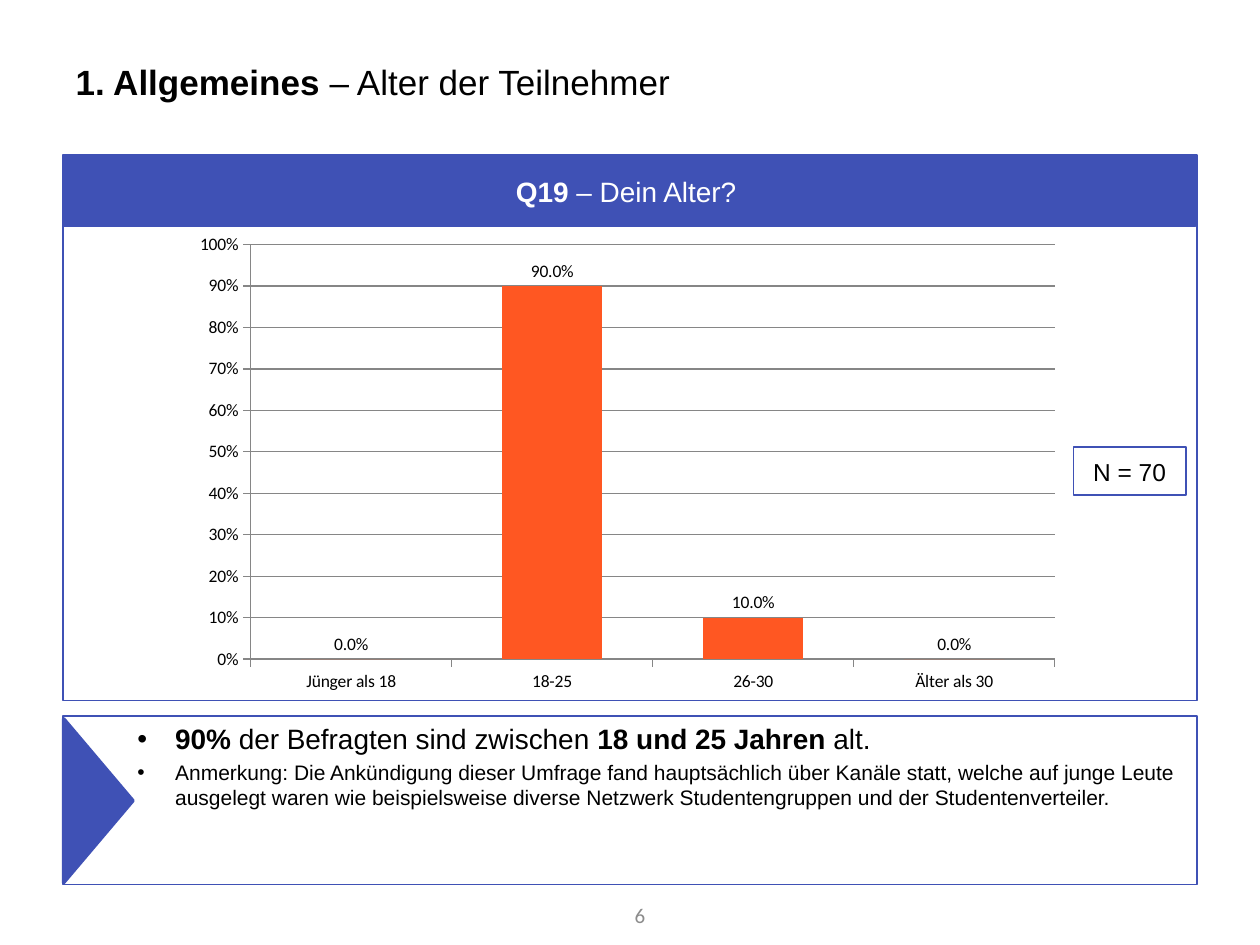
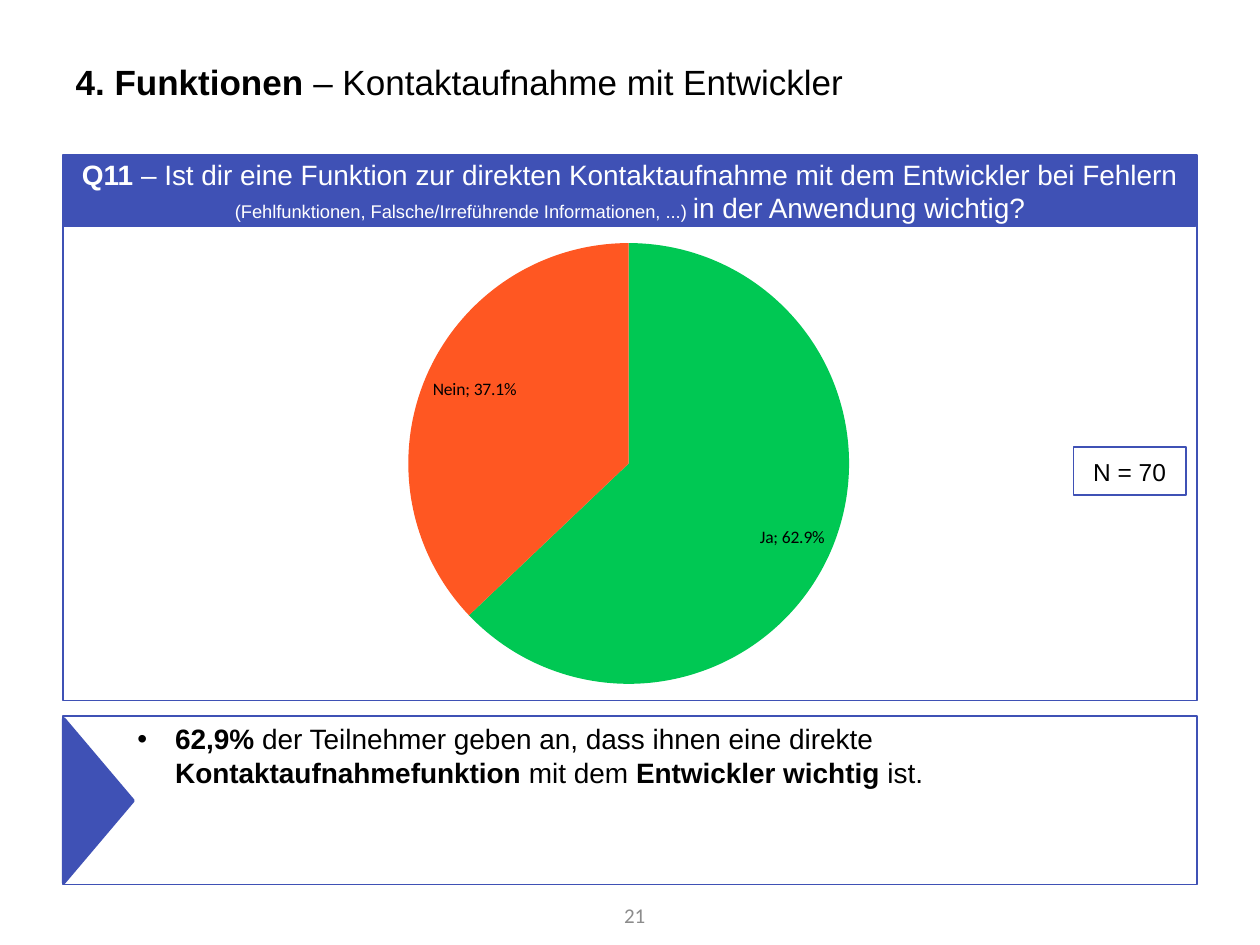
"""Build two survey result slides, each with a chart and its key finding."""
from dataclasses import dataclass

from lxml.etree import SubElement
from pptx import Presentation
from pptx.chart.data import CategoryChartData
from pptx.dml.color import RGBColor
from pptx.enum.chart import XL_CHART_TYPE as ChartType, XL_LABEL_POSITION as LabelPosition
from pptx.enum.chart import XL_TICK_MARK as TickMark
from pptx.enum.shapes import MSO_SHAPE as ShapeKind
from pptx.enum.text import MSO_ANCHOR as Anchor, MSO_AUTO_SIZE as AutoSize, PP_ALIGN as Align
from pptx.oxml.ns import qn
from pptx.util import Inches, Pt


@dataclass(frozen=True)
class Theme:
    """Colours, fonts and type sizes shared by the slides."""
    indigo: RGBColor = RGBColor(0x3F, 0x51, 0xB5)
    orange: RGBColor = RGBColor(0xFF, 0x57, 0x22)
    green: RGBColor = RGBColor(0x00, 0xC8, 0x53)
    black: RGBColor = RGBColor(0, 0, 0)
    white: RGBColor = RGBColor(0xFF, 0xFF, 0xFF)
    grey: RGBColor = RGBColor(0x8C, 0x8C, 0x8C)
    grid: RGBColor = RGBColor(0x86, 0x86, 0x86)
    font: str = "Arial"
    small_font: str = "Calibri"
    title_size: float = 20
    text_size: float = 16
    sample_size: float = 14
    note_size: float = 12
    aside_size: float = 10.5
    chart_size: float = 10


THEME = Theme()


def place(shape, left, top, width, height):
    """Move and size a shape in inches."""
    shape.left, shape.top = Inches(left), Inches(top)
    shape.width, shape.height = Inches(width), Inches(height)


def style_font(font, size, color, name=THEME.font, bold=False):
    """Set the face, size, colour and weight of a font."""
    font.name, font.size, font.bold = name, Pt(size), bold
    font.color.rgb = color


def write_runs(paragraph, parts, size, color=THEME.black):
    """Write (text, bold[, size]) parts as the runs of a paragraph."""
    for text, bold, *own_size in parts:
        run = paragraph.add_run()
        run.text = text
        style_font(run.font, own_size[0] if own_size else size, color, bold=bold)


def add_box(slide, kind, bounds, line_width, fill=None):
    """Add an indigo-outlined shape, hollow unless a fill is given."""
    shape = slide.shapes.add_shape(kind, *map(Inches, bounds))
    shape.shadow.inherit = False
    if fill is None:
        shape.fill.background()
    else:
        shape.fill.solid()
        shape.fill.fore_color.rgb = fill
    shape.line.color.rgb = THEME.indigo
    shape.line.width = Pt(line_width)
    return shape


def add_caption_box(slide, bounds, parts, size, color, line_width, fill=None):
    """Add a rectangle with centred text."""
    frame = add_box(slide, ShapeKind.RECTANGLE, bounds, line_width, fill).text_frame
    frame.word_wrap = True
    frame.vertical_anchor = Anchor.MIDDLE
    frame.paragraphs[0].alignment = Align.CENTER
    write_runs(frame.paragraphs[0], parts, size, color)


def fill_title(slide, parts):
    """Place and write the slide title."""
    title = slide.shapes.title
    place(title, 0.5, 0.3, 9, 0.69)
    frame = title.text_frame
    frame.auto_size = AutoSize.NONE
    frame.vertical_anchor = Anchor.MIDDLE
    frame.paragraphs[0].alignment = Align.LEFT
    write_runs(frame.paragraphs[0], parts, THEME.title_size)


def fill_findings(slide, findings):
    """Write the bulleted findings in the outlined body placeholder."""
    body = slide.placeholders[1]
    place(body, 0.5, 5.68, 9, 1.34)
    body.line.color.rgb = THEME.indigo
    body.line.width = Pt(1)
    frame = body.text_frame
    frame.auto_size = AutoSize.NONE
    for index, parts in enumerate(findings):
        paragraph = frame.add_paragraph() if index else frame.paragraphs[0]
        properties = paragraph._p.get_or_add_pPr()
        properties.set("marL", str(Inches(0.79)))
        properties.set("indent", str(Inches(-0.3)))
        write_runs(paragraph, parts, THEME.text_size)


def add_page_number(slide, number):
    """Add the grey page number below the findings."""
    frame = slide.shapes.add_textbox(*map(Inches, (4.59, 7.06, 0.63, 0.4))).text_frame
    frame.word_wrap = True
    frame.vertical_anchor = Anchor.MIDDLE
    paragraph = frame.paragraphs[0]
    paragraph.text = str(number)
    paragraph.alignment = Align.RIGHT
    style_font(paragraph.runs[0].font, THEME.note_size, THEME.grey, THEME.small_font)


def set_plot_area(chart, **fractions):
    """Fix the inner plot area as fractions of the chart."""
    plot_area = chart._chartSpace.find(".//" + qn("c:plotArea"))
    for layout in plot_area.findall(qn("c:layout")):
        plot_area.remove(layout)
    layout = SubElement(plot_area, qn("c:layout"))
    plot_area.insert(0, layout)
    manual = SubElement(layout, qn("c:manualLayout"))
    settings = {"layoutTarget": "inner", "xMode": "edge", "yMode": "edge", **fractions}
    for name, value in settings.items():
        SubElement(manual, qn(f"c:{name}")).set("val", str(value))


def add_chart(slide, kind, answers, label_position):
    """Add a one-series chart of answer shares with percentage labels."""
    data = CategoryChartData(number_format="0.0%")
    data.categories = list(answers)
    data.add_series("Series 1", list(answers.values()))
    bounds = map(Inches, (1.46, 1.79, 7.06, 3.77))
    chart = slide.shapes.add_chart(kind, *bounds, data).chart
    chart.has_legend = chart.has_title = False
    style_font(chart.font, THEME.chart_size, THEME.black, THEME.small_font)
    plot = chart.plots[0]
    plot.has_data_labels = True
    labels = plot.data_labels
    labels.number_format, labels.number_format_is_linked = "0.0%", False
    labels.show_value, labels.show_percentage = True, False
    labels.position = label_position
    return chart


def add_column_chart(slide, answers):
    """Add the orange column chart with a percentage axis."""
    chart = add_chart(slide, ChartType.COLUMN_CLUSTERED, answers, LabelPosition.OUTSIDE_END)
    set_plot_area(chart, x=0.075, y=0.04, w=0.904, h=0.873)
    plot = chart.plots[0]
    plot.gap_width, plot.vary_by_categories = 100, False
    fill = plot.series[0].format.fill
    fill.solid()
    fill.fore_color.rgb = THEME.orange
    axis = chart.value_axis
    axis.minimum_scale, axis.maximum_scale, axis.major_unit = 0, 1, 0.1
    axis.tick_labels.number_format = "0%"
    axis.tick_labels.number_format_is_linked = False
    axis.has_major_gridlines = True
    chart.category_axis.has_major_gridlines = False
    for each in (axis, chart.category_axis):
        each.major_tick_mark, each.minor_tick_mark = TickMark.OUTSIDE, TickMark.NONE
    for part in (axis, chart.category_axis, axis.major_gridlines):
        part.format.line.color.rgb = THEME.grid
        part.format.line.width = Pt(0.75)


def add_pie_chart(slide, answers):
    """Add the pie chart with answer and share in each slice."""
    chart = add_chart(slide, ChartType.PIE, answers, LabelPosition.INSIDE_END)
    set_plot_area(chart, x=0.252, y=0.037, w=0.496, h=0.928)
    plot = chart.plots[0]
    plot.vary_by_categories = True
    for index, color in enumerate((THEME.green, THEME.orange)):
        fill = plot.series[0].points[index].format.fill
        fill.solid()
        fill.fore_color.rgb = color
    labels = plot.data_labels
    labels.show_category_name = True
    element = labels._element
    separator = SubElement(element, qn("c:separator"))
    separator.text = "; "
    element.find(qn("c:showBubbleSize")).addnext(separator)


def add_result_slide(presentation, title, question, findings, number, draw_chart, answers):
    """Add one survey question with its chart and findings."""
    slide = presentation.slides.add_slide(presentation.slide_layouts[1])
    fill_title(slide, title)
    fill_findings(slide, findings)
    marker = add_box(slide, ShapeKind.ISOSCELES_TRIANGLE, (0.13, 6.08, 1.3, 0.55), 2, THEME.indigo)
    marker.rotation = 90
    add_box(slide, ShapeKind.RECTANGLE, (0.5, 1.23, 9, 4.33), 1)
    add_caption_box(slide, (0.51, 1.24, 8.98, 0.55), question, THEME.text_size,
                    THEME.white, 2, THEME.indigo)
    add_caption_box(slide, (8.52, 3.55, 0.89, 0.38), [("N = 70", False)],
                    THEME.sample_size, THEME.black, 1)
    add_page_number(slide, number)
    draw_chart(slide, answers)


def main():
    """Build and save the presentation."""
    presentation = Presentation()
    presentation.slide_width, presentation.slide_height = Inches(10), Inches(7.5)
    add_result_slide(
        presentation,
        title=[("1. Allgemeines ", True), ("– Alter der Teilnehmer", False)],
        question=[("Q19 ", True), ("– Dein Alter? ", False)],
        findings=[
            [("90% ", True), ("der Befragten sind zwischen ", False),
             ("18 und 25 Jahren", True), (" alt.", False)],
            [("Anmerkung: Die Ankündigung dieser Umfrage fand hauptsächlich über Kanäle statt, "
              "welche auf junge Leute ausgelegt waren wie beispielsweise diverse Netzwerk "
              "Studentengruppen und der Studentenverteiler.", False, THEME.note_size)],
        ],
        number=6,
        draw_chart=add_column_chart,
        answers={"Jünger als 18": 0, "18-25": 0.9, "26-30": 0.1, "Älter als 30": 0},
    )
    add_result_slide(
        presentation,
        title=[("4. Funktionen ", True), ("– Kontaktaufnahme mit Entwickler", False)],
        question=[
            ("Q11 ", True),
            ("– Ist dir eine Funktion zur direkten Kontaktaufnahme mit dem Entwickler "
             "bei Fehlern ", False),
            ("(Fehlfunktionen, Falsche/Irreführende Informationen, ...) ", False, THEME.aside_size),
            ("in der Anwendung wichtig?", False),
        ],
        findings=[
            [("62,9% ", True), ("der Teilnehmer geben an, dass ihnen eine direkte ", False),
             ("Kontaktaufnahmefunktion", True), (" mit dem ", False),
             ("Entwickler wichtig ", True), ("ist.", False)],
        ],
        number=21,
        draw_chart=add_pie_chart,
        answers={"Ja": 0.629, "Nein": 0.371},
    )
    presentation.save("out.pptx")


if __name__ == "__main__":
    main()
